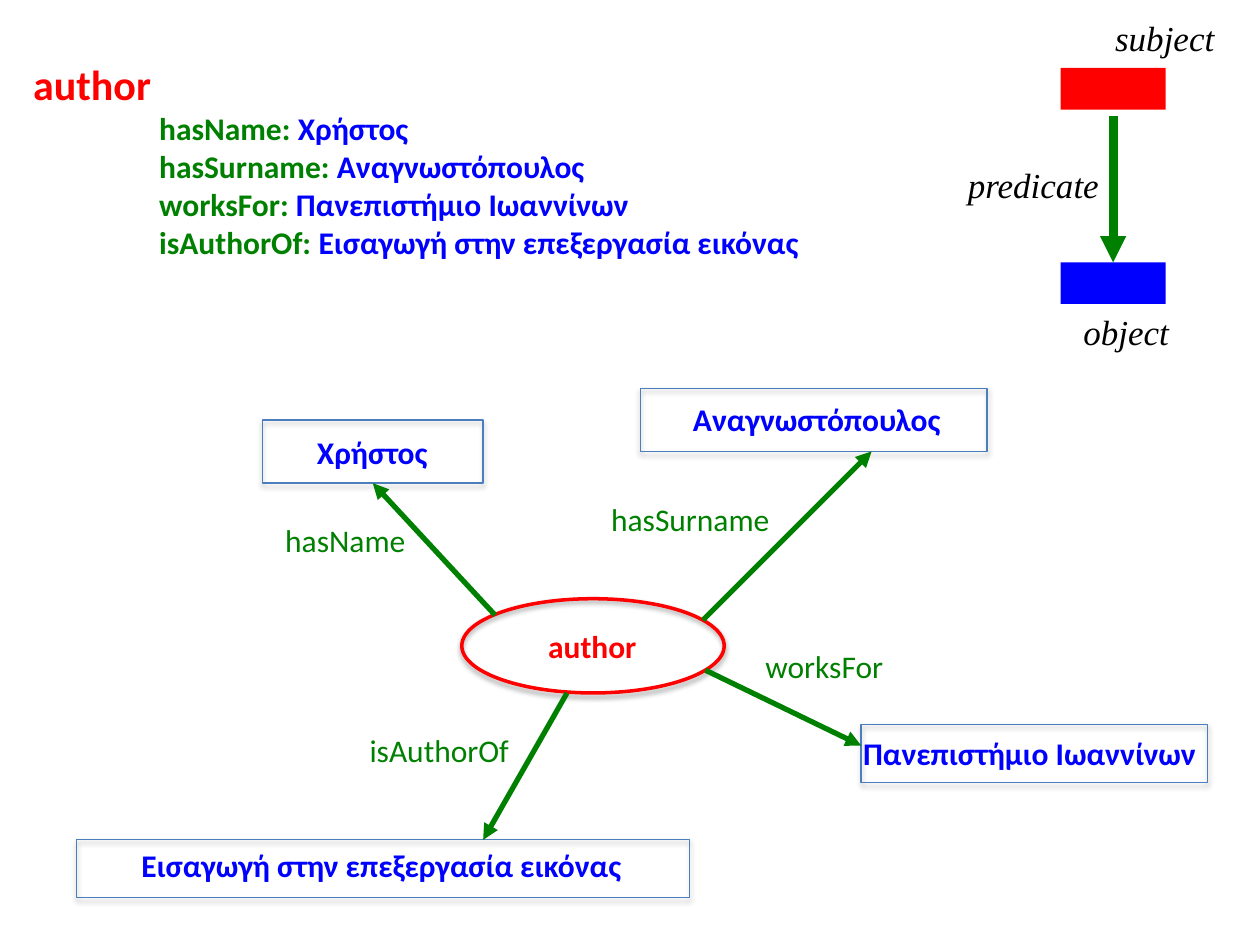
from lxml import etree
from pptx import Presentation
from pptx.dml.color import RGBColor
from pptx.enum.shapes import MSO_CONNECTOR, MSO_SHAPE
from pptx.enum.text import MSO_AUTO_SIZE
from pptx.oxml.ns import qn
from pptx.util import Cm, Pt

RECTANGLE = MSO_SHAPE.RECTANGLE
OVAL = MSO_SHAPE.OVAL
STRAIGHT = MSO_CONNECTOR.STRAIGHT
FIT_SHAPE = MSO_AUTO_SIZE.SHAPE_TO_FIT_TEXT
TOP, BOTTOM = 0, 2

COLORS = {"subject": "FF0000", "predicate": "008000", "object": "0000FF",
          "outline": "4B7EBC", "text": "000000", "shadow": "000000"}

LEGEND = {"name": "Times New Roman", "size": Pt(20), "italic": True}
HEADING = {"name": "Calibri", "size": Pt(24), "bold": True}
BOLD = {"name": "Calibri", "size": Pt(18), "bold": True}
PLAIN = {"name": "Calibri", "size": Pt(18)}

NAME = "Χρήστος"
SURNAME = "Αναγνωστόπουλος"
EMPLOYER = "Πανεπιστήμιο Ιωαννίνων"
BOOK = "Εισαγωγή στην επεξεργασία εικόνας"
LABEL_HEIGHT = 1.02
TAB_POSITION = Cm(2.54)


def rgb(color):
    return RGBColor.from_string(COLORS[color])


def add_run(paragraph, text, color, font_format):
    run = paragraph.add_run()
    run.text = text
    run.font.color.rgb = rgb(color)
    for attribute, value in font_format.items():
        setattr(run.font, attribute, value)


def add_tab_stop(paragraph):
    properties = paragraph._p.get_or_add_pPr()
    tabs = etree.SubElement(properties, qn("a:tabLst"))
    etree.SubElement(tabs, qn("a:tab"), pos=str(TAB_POSITION), algn="l")


def add_text_box(slide, bounds, wrap):
    frame = slide.shapes.add_textbox(*map(Cm, bounds)).text_frame
    frame.word_wrap = wrap
    frame.auto_size = FIT_SHAPE
    return frame


def add_label(slide, text, left, top, width, color, font_format,
              height=LABEL_HEIGHT, wrap=False):
    frame = add_text_box(slide, (left, top, width, height), wrap)
    add_run(frame.paragraphs[0], text, color, font_format)


def add_block(slide, bounds, color):
    block = slide.shapes.add_shape(RECTANGLE, *map(Cm, bounds))
    block.shadow.inherit = False
    block.fill.solid()
    block.fill.fore_color.rgb = rgb(color)
    block.line.fill.background()
    return block


def add_soft_shadow(shape):
    """Cast a short, blurred shadow straight down."""
    shape.shadow.inherit = False
    effects = shape._element.spPr.find(qn("a:effectLst"))
    shadow = etree.SubElement(effects, qn("a:outerShdw"), blurRad=str(Pt(3.1)),
                              dist=str(Pt(1.8)), dir="5400000", rotWithShape="0")
    color = etree.SubElement(shadow, qn("a:srgbClr"), val=COLORS["shadow"])
    etree.SubElement(color, qn("a:alpha"), val="35000")


def add_node(slide, kind, bounds, color, width):
    node = slide.shapes.add_shape(kind, *map(Cm, bounds))
    node.fill.background()
    node.line.color.rgb = rgb(color)
    node.line.width = Pt(width)
    add_soft_shadow(node)
    return node


def add_arrow(slide, start, end, width):
    arrow = slide.shapes.add_connector(STRAIGHT, *map(Cm, start + end))
    arrow.line.color.rgb = rgb("predicate")
    arrow.line.width = Pt(width)
    etree.SubElement(arrow.line._get_or_add_ln(), qn("a:tailEnd"), type="triangle")
    etree.SubElement(arrow._element.spPr, qn("a:effectLst"))
    return arrow


def add_legend(slide):
    add_block(slide, (21.38, 1.37, 2.12, 0.84), "subject")
    object_block = add_block(slide, (21.38, 5.29, 2.12, 0.84), "object")
    arrow = add_arrow(slide, (22.44, 2.33), (22.44, 5.29), 5)
    arrow.end_connect(object_block, TOP)
    for text, left, top, width in (("subject", 22.23, 0.21, 2.96),
                                   ("predicate", 19.26, 3.18, 3.18),
                                   ("object", 21.59, 6.14, 2.96)):
        add_label(slide, text, left, top, width, "text", LEGEND, 1.1, True)


def add_statements(slide):
    """List the subject and its predicate and object pairs."""
    frame = add_text_box(slide, (0.42, 1.06, 19.69, 4.37), True)
    add_run(frame.paragraphs[0], "author", "subject", HEADING)
    for predicate, value in (("hasName", NAME), ("hasSurname", SURNAME),
                             ("worksFor", EMPLOYER), ("isAuthorOf", BOOK)):
        paragraph = frame.add_paragraph()
        add_tab_stop(paragraph)
        add_run(paragraph, f"\t{predicate}: ", "predicate", BOLD)
        add_run(paragraph, value, "object", BOLD)


def add_graph(slide):
    add_node(slide, OVAL, (9.31, 12.07, 5.29, 1.9), "subject", 2)
    name_node, *_ = [
        add_node(slide, RECTANGLE, bounds, "outline", 0.75)
        for bounds in ((5.29, 8.47, 4.45, 1.27), (12.91, 7.83, 6.99, 1.27),
                       (17.36, 14.61, 6.99, 1.16), (1.55, 16.93, 12.35, 1.16))]

    add_label(slide, "author", 10.8, 12.52, 2.31, "subject", BOLD)
    for text, left, top, width in ((NAME, 6.14, 8.61, 2.77),
                                   (SURNAME, 13.72, 7.94, 5.56),
                                   (EMPLOYER, 17.15, 14.68, 7.32),
                                   (BOOK, 2.6, 16.94, 10.34)):
        add_label(slide, text, left, top, width, "object", BOLD)

    name_arrow = add_arrow(slide, (9.98, 12.4), (7.51, 9.74), 3)
    name_arrow.end_connect(name_node, BOTTOM)
    for start, end in (((14.17, 12.5), (17.57, 9.1)),
                       ((14.22, 13.51), (17.36, 15.03)),
                       ((11.43, 13.97), (9.74, 16.93))):
        add_arrow(slide, start, end, 3)

    for text, left, top, width in (("hasName", 5.5, 10.37, 3.02),
                                   ("hasSurname", 12.07, 9.96, 3.81),
                                   ("worksFor", 15.18, 12.91, 2.95),
                                   ("isAuthorOf", 7.2, 14.61, 3.43)):
        add_label(slide, text, left, top, width, "predicate", PLAIN)


def main():
    presentation = Presentation()
    presentation.slide_width = Cm(25.4)
    presentation.slide_height = Cm(19.05)
    slide = presentation.slides.add_slide(presentation.slide_layouts[6])
    add_legend(slide)
    add_statements(slide)
    add_graph(slide)
    presentation.save("out.pptx")


if __name__ == "__main__":
    main()
